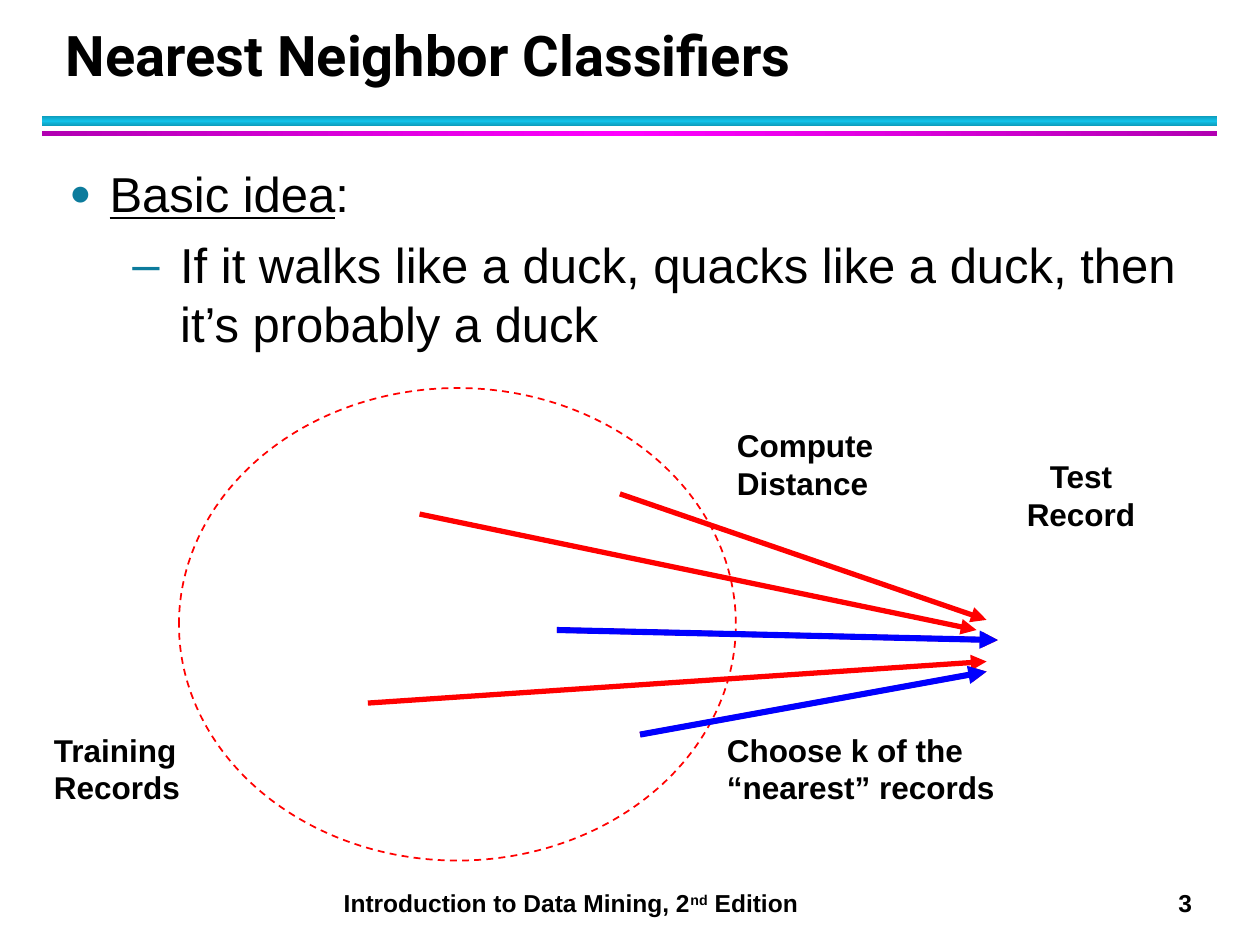
from lxml import etree
from pptx import Presentation
from pptx import util as u
from pptx.dml.color import RGBColor
from pptx.enum import dml, shapes, text
from pptx.oxml.ns import qn

COLORS = {
    "text": "000000", "bullet": "0C7B9C", "red": "FF0000", "blue": "0000FF",
    "cyan": "12C2E9", "cyan_edge": "0E9BBA",
    "magenta": "FF00FF", "magenta_edge": "B200B2",
}


def rgb(name):
    return RGBColor.from_string(COLORS[name])


def add_xml(parent, tag, **attributes):
    return etree.SubElement(parent, qn(tag), attributes)


class SlideBuilder:
    """Holds the slide and its text style."""

    def __init__(self, slide, font="Arial"):
        self.slide = slide
        self.font = font

    def style(self, paragraph, size, bold=False, font=None):
        paragraph.font.name = font or self.font
        paragraph.font.size = u.Pt(size)
        paragraph.font.bold = bold
        paragraph.font.color.rgb = rgb("text")

    def place(self, shape, left, top, width, height):
        shape.left, shape.top = u.Inches(left), u.Inches(top)
        shape.width, shape.height = u.Inches(width), u.Inches(height)

    def title(self, words, *box):
        title = self.slide.shapes.title
        self.place(title, *box)
        title.text_frame.text = words
        title.text_frame.vertical_anchor = text.MSO_ANCHOR.BOTTOM
        title.text_frame.auto_size = text.MSO_AUTO_SIZE.NONE
        paragraph = title.text_frame.paragraphs[0]
        paragraph.alignment = text.PP_ALIGN.LEFT
        paragraph.line_spacing = u.Pt(36)
        self.style(paragraph, 32, bold=True, font="Roboto")

    def body(self, *box):
        body = self.slide.placeholders[1]
        self.place(body, *box)
        body.text_frame.auto_size = text.MSO_AUTO_SIZE.NONE
        return body.text_frame

    def bullet(self, paragraph, mark, indent, hanging, percent, level=0):
        paragraph.level = level
        paragraph.space_before = u.Pt(3 if level else 0)
        paragraph.space_after = u.Pt(4)
        props = paragraph._p.get_or_add_pPr()
        props.set("marL", str(u.Inches(indent)))
        props.set("indent", str(-u.Inches(hanging)))
        add_xml(add_xml(props, "a:buClr"), "a:srgbClr", val=COLORS["bullet"])
        add_xml(props, "a:buSzPct", val=str(percent * 1000))
        add_xml(props, "a:buFont", typeface=self.font)
        add_xml(props, "a:buChar", char=mark)
        self.style(paragraph, 28)

    def label(self, words, left, top, width, height=0.7, size=18,
              align=text.PP_ALIGN.LEFT):
        box = self.slide.shapes.add_textbox(0, 0, 0, 0)
        self.place(box, left, top, width, height)
        box.text_frame.word_wrap = True
        paragraph = box.text_frame.paragraphs[0]
        paragraph.text = words
        paragraph.alignment = align
        self.style(paragraph, size, bold=True)
        return paragraph

    def bar(self, top, height, middle, edge, angle):
        bar = self.slide.shapes.add_shape(
            shapes.MSO_SHAPE.RECTANGLE, u.Inches(0.33), u.Inches(top),
            u.Inches(9.33), u.Inches(height))
        bar.shadow.inherit = False
        bar.line.fill.background()
        bar.fill.gradient()
        bar.fill.gradient_angle = angle
        stops = bar._element.spPr.find(qn("a:gradFill")).find(qn("a:gsLst"))
        for stop in list(stops):
            stops.remove(stop)
        for position, color in ((0, edge), (50, middle), (100, edge)):
            stop = add_xml(stops, "a:gs", pos=str(position * 1000))
            add_xml(stop, "a:srgbClr", val=COLORS[color])

    def dashed_ellipse(self, left, top, width, height, color):
        ellipse = self.slide.shapes.add_shape(
            shapes.MSO_SHAPE.OVAL, u.Inches(left), u.Inches(top),
            u.Inches(width), u.Inches(height))
        ellipse.shadow.inherit = False
        ellipse.fill.background()
        ellipse.line.color.rgb = rgb(color)
        ellipse.line.width = u.Pt(1)
        ellipse.line.dash_style = dml.MSO_LINE.DASH

    def arrow(self, start, end, color, width):
        arrow = self.slide.shapes.add_connector(
            shapes.MSO_CONNECTOR.STRAIGHT,
            *(u.Inches(value) for value in start + end))
        arrow.line.color.rgb = rgb(color)
        arrow.line.width = u.Pt(width)
        add_xml(arrow.line._get_or_add_ln(), "a:tailEnd", type="triangle")
        add_xml(arrow._element.spPr, "a:effectLst")


def main():
    prs = Presentation()
    prs.slide_width, prs.slide_height = u.Inches(10), u.Inches(7.5)
    builder = SlideBuilder(prs.slides.add_slide(prs.slide_layouts[1]))

    # Header rules and footer
    builder.bar(0.92, 0.08, "cyan", "cyan_edge", 90)
    builder.bar(1.04, 0.04, "magenta", "magenta_edge", 0)
    footer = builder.label("Introduction to Data Mining, 2", 2.63, 7, 4.2,
                           height=0.34, size=14)
    ordinal = footer.add_run()
    ordinal.text = "nd"
    ordinal._r.get_or_add_rPr().set("baseline", "30000")
    footer.add_run().text = " Edition"
    builder.label("3", 8.96, 7, 0.6, height=0.34, size=14,
                  align=text.PP_ALIGN.RIGHT)

    # Title and basic idea
    builder.title("Nearest Neighbor Classifiers", 0.42, 0.17, 9.06, 0.58)
    body = builder.body(0.45, 1.25, 9.1, 5.67)
    idea = body.paragraphs[0]
    heading = idea.add_run()
    heading.text = "Basic idea"
    heading.font.underline = True
    idea.add_run().text = ":"
    builder.bullet(idea, "●", 0.32, 0.32, 75)
    duck = body.add_paragraph()
    duck.text = ("If it walks like a duck, quacks like a duck, "
                 "then it’s probably a duck")
    builder.bullet(duck, "–", 0.88, 0.38, 100, level=1)

    # Training records and test record
    builder.dashed_ellipse(1.42, 3.08, 4.42, 3.75, "red")
    builder.label("Training Records", 0.33, 5.75, 1.5)
    builder.label("Test Record", 7.83, 3.58, 1.5, align=text.PP_ALIGN.CENTER)

    # Distances to every record, then the nearest ones on top
    nearest = [((4.42, 5), (7.92, 5.08)), ((5.08, 5.83), (7.83, 5.33))]
    others = [((4.92, 3.92), (7.83, 4.92)), ((2.92, 5.58), (7.83, 5.25)),
              ((3.33, 4.08), (7.75, 5))]
    builder.label("Compute Distance", 5.75, 3.33, 1.5)
    for start, end in nearest + others:
        builder.arrow(start, end, "red", 3)
    builder.label("Choose k of the “nearest” records", 5.67, 5.75, 2.42)
    for start, end in nearest:
        builder.arrow(start, end, "blue", 3.5)

    prs.save("out.pptx")


if __name__ == "__main__":
    main()
